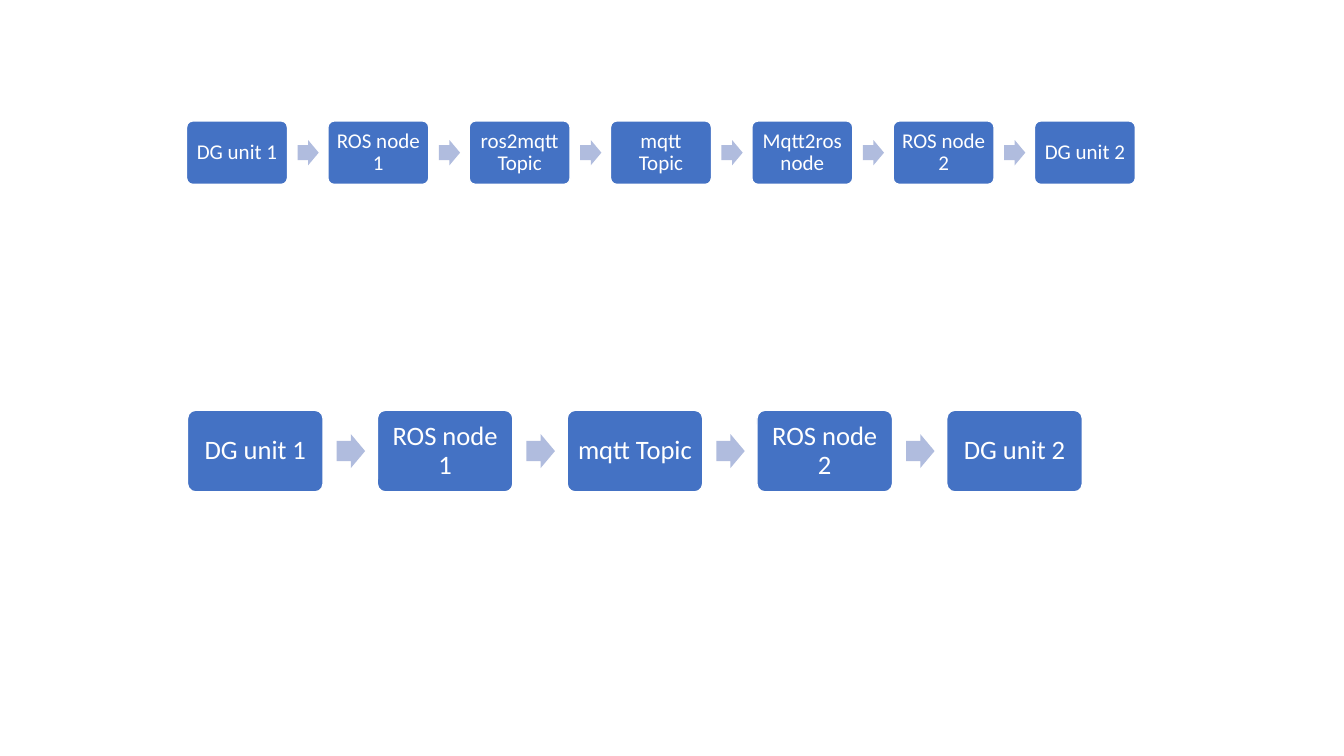
"""Build a slide with two message flows between DG units."""
import pptx
import pptx.util
import pptx.dml.color
import pptx.enum.shapes
import pptx.enum.text

FLOWS = [
    {"steps": ["DG unit 1", "ROS node 1", "ros2mqtt Topic", "mqtt Topic",
               "Mqtt2ros node", "ROS node 2", "DG unit 2"],
     "first": 1.85, "last": 10.26, "top": 1.2, "height": 0.63,
     "size": 15, "inset": 0.06},
    {"steps": ["DG unit 1", "ROS node 1", "mqtt Topic", "ROS node 2", "DG unit 2"],
     "first": 1.86, "last": 9.39, "top": 4.07, "height": 0.81,
     "size": 19, "inset": 0.08},
]
COLORS = {"box": "4472C4", "arrow": "B0BCDE", "white": "FFFFFF"}
FONT = "Calibri"
PITCH = 1.4
ARROW_OFFSET, ARROW_WIDTH, ARROW_HEIGHT = 1.1, 0.21, 0.25

Inches, Pt = pptx.util.Inches, pptx.util.Pt
SHAPE = pptx.enum.shapes.MSO_SHAPE


def rgb(name):
    """Return the named colour."""
    return pptx.dml.color.RGBColor.from_string(COLORS[name])


def add_shape(s, kind, box, color, adjustments):
    """Add a flat filled shape without an outline."""
    sp = s.shapes.add_shape(kind, *map(Inches, box))
    sp.shadow.inherit = False
    sp.fill.solid()
    sp.fill.fore_color.rgb = rgb(color)
    sp.line.fill.background()
    for i, value in enumerate(adjustments):
        sp.adjustments[i] = value
    return sp


def add_step(s, text, box, size, inset):
    """Add one labelled box of a flow."""
    sp = add_shape(s, SHAPE.ROUNDED_RECTANGLE, box, "box", [0.1])
    sp.line.color.rgb = rgb("white")
    sp.line.width = Pt(1)
    tf = sp.text_frame
    tf.word_wrap = True
    tf.vertical_anchor = pptx.enum.text.MSO_ANCHOR.MIDDLE
    tf.margin_left = tf.margin_right = tf.margin_top = tf.margin_bottom = Inches(inset)
    p = tf.paragraphs[0]
    p.alignment = pptx.enum.text.PP_ALIGN.CENTER
    p.line_spacing = 0.9
    r = p.add_run()
    r.text = text
    r.font.name = FONT
    r.font.size = Pt(size)
    r.font.color.rgb = rgb("white")


def add_flow(s, flow):
    """Add a row of boxes joined by arrows."""
    steps, top, height = flow["steps"], flow["top"], flow["height"]
    pitch = (flow["last"] - flow["first"]) / (len(steps) - 1)
    width = pitch / PITCH
    arrow_w, arrow_h = ARROW_WIDTH * width, ARROW_HEIGHT * width
    for i, text in enumerate(steps):
        x = flow["first"] + i * pitch
        add_step(s, text, (x, top, width, height), flow["size"], flow["inset"])
        if i < len(steps) - 1:
            box = (x + ARROW_OFFSET * width, top + (height - arrow_h) / 2, arrow_w, arrow_h)
            add_shape(s, SHAPE.RIGHT_ARROW, box, "arrow", [0.6, 0.5])


def main():
    """Create and save the presentation."""
    prs = pptx.Presentation()
    prs.slide_width, prs.slide_height = Inches(13.33), Inches(7.5)
    s = prs.slides.add_slide(prs.slide_layouts[6])
    for flow in FLOWS:
        add_flow(s, flow)
    prs.save("out.pptx")


if __name__ == "__main__":
    main()
